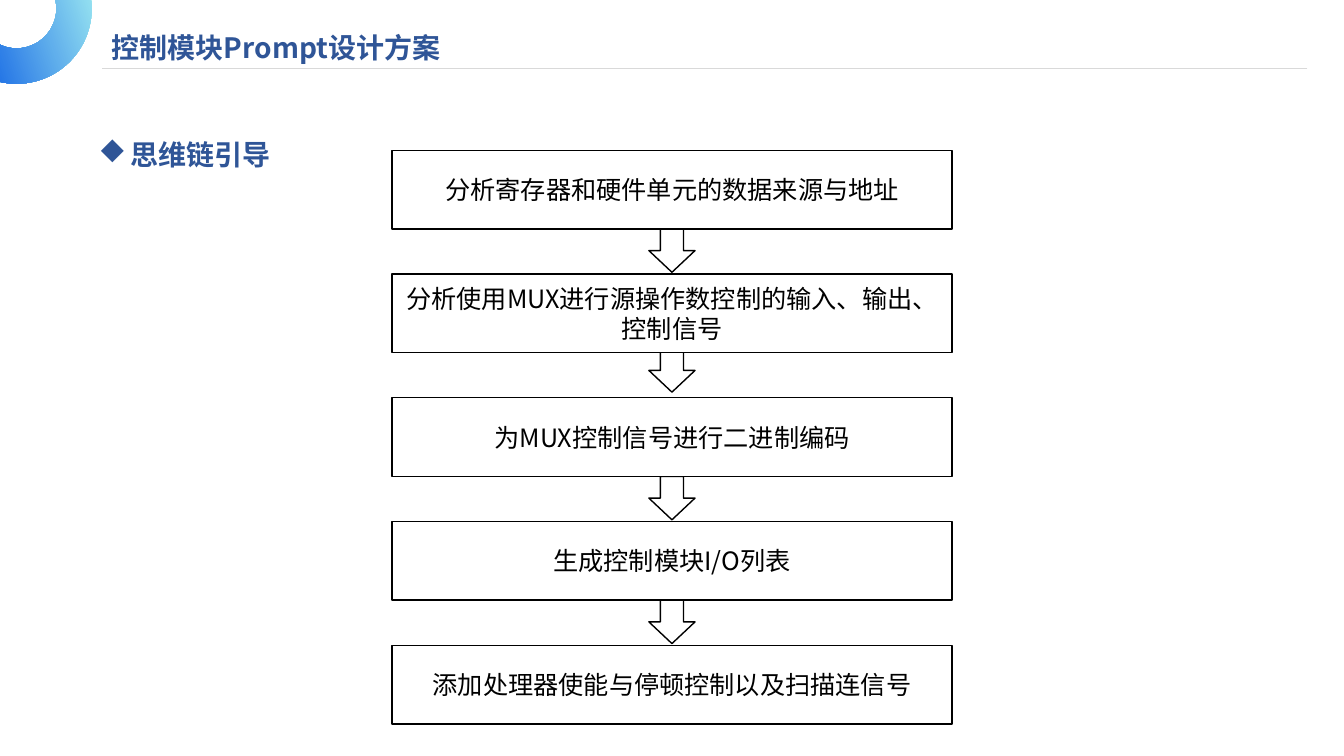
from lxml.etree import SubElement
from pptx import Presentation
from pptx.dml.color import RGBColor
from pptx.enum.shapes import MSO_CONNECTOR as Link, MSO_SHAPE as Kind
from pptx.enum.text import MSO_ANCHOR as Anchor, MSO_AUTO_SIZE as Fit, PP_ALIGN as Align
from pptx.oxml.ns import qn
from pptx.util import Pt

FONT = "Noto Sans CJK SC"
BLUE = "2F5597"
STEPS = [
    "分析寄存器和硬件单元的数据来源与地址",
    "分析使用MUX进行源操作数控制的输入、输出、控制信号",
    "为MUX控制信号进行二进制编码",
    "生成控制模块I/O列表",
    "添加处理器使能与停顿控制以及扫描连信号",
]
LEFT, TOP, WIDE, HIGH, PITCH = 280, 107.3, 400, 56.2, 88.4
TIP_WIDE, TIP_HIGH = 33, 31
TIP_SHIFT = [0, -2.8, 0, 0]


def tint(code):
    return RGBColor.from_string(code)


def style(para, size, color, bold=False):
    for run in para.runs:
        run.font.size = Pt(size)
        run.font.name = FONT
        run.font.bold = bold
        run.font.color.rgb = tint(color)
        SubElement(run.font._element, qn("a:ea"), typeface=FONT)


def add_ring(slide):
    ring = slide.shapes.add_shape(Kind.DONUT, Pt(-41.8), Pt(-47.5), Pt(107.3), Pt(107.3))
    ring.shadow.inherit = False
    ring.adjustments[0] = 0.235
    ring.line.fill.background()
    ring.fill.gradient()
    ring.fill.gradient_angle = 199
    stops = [(0, "A7F3F2"), (0.78, "196AE5")]
    for stop, (place, code) in zip(ring.fill.gradient_stops, stops):
        stop.position = place
        stop.color.rgb = tint(code)


def add_rule(slide):
    rule = slide.shapes.add_connector(Link.STRAIGHT, Pt(933.8), Pt(49), Pt(72.7), Pt(49))
    rule.line.color.rgb = tint("D9D9D9")
    rule.line.width = Pt(1)
    SubElement(rule._element.spPr, qn("a:effectLst"))


def add_head(slide, text, left, top, width):
    box = slide.shapes.add_textbox(Pt(left), Pt(top), Pt(width), Pt(39.6))
    frame = box.text_frame
    frame.word_wrap = True
    frame.auto_size = Fit.SHAPE_TO_FIT_TEXT
    frame.text = text
    para = frame.paragraphs[0]
    para.line_spacing = 1.5
    style(para, 20, BLUE, True)
    return para


def add_bullet(para):
    props = para._p.get_or_add_pPr()
    props.set("marL", str(Pt(22.5)))
    props.set("indent", str(-Pt(22.5)))
    SubElement(props, qn("a:buFont"), typeface="Wingdings", charset="2")
    SubElement(props, qn("a:buChar"), char="u")


def add_block(slide, kind, left, top, width, height):
    block = slide.shapes.add_shape(kind, Pt(left), Pt(top), Pt(width), Pt(height))
    block.shadow.inherit = False
    block.fill.solid()
    block.fill.fore_color.rgb = tint("FFFFFF")
    block.line.color.rgb = tint("000000")
    block.line.width = Pt(1)
    return block


def add_step(slide, text, top):
    frame = add_block(slide, Kind.RECTANGLE, LEFT, top, WIDE, HIGH).text_frame
    frame.word_wrap = True
    frame.vertical_anchor = Anchor.MIDDLE
    frame.text = text
    para = frame.paragraphs[0]
    para.alignment = Align.CENTER
    style(para, 18, "000000")


def add_flow(slide):
    mid = LEFT + (WIDE - TIP_WIDE) / 2
    for row, shift in enumerate(TIP_SHIFT):
        top = TOP + row * PITCH + HIGH + shift
        add_block(slide, Kind.DOWN_ARROW, mid, top, TIP_WIDE, TIP_HIGH)
    for row, text in enumerate(STEPS):
        add_step(slide, text, TOP + row * PITCH)


def main():
    deck = Presentation()
    deck.slide_width, deck.slide_height = Pt(960), Pt(540)
    slide = deck.slides.add_slide(deck.slide_layouts[6])
    add_ring(slide)
    add_rule(slide)
    add_head(slide, "控制模块Prompt设计方案", 72.7, 6.5, 344)
    add_bullet(add_head(slide, "思维链引导", 63.4, 82.8, 261.4))
    add_flow(slide)
    deck.save("out.pptx")


if __name__ == "__main__":
    main()
